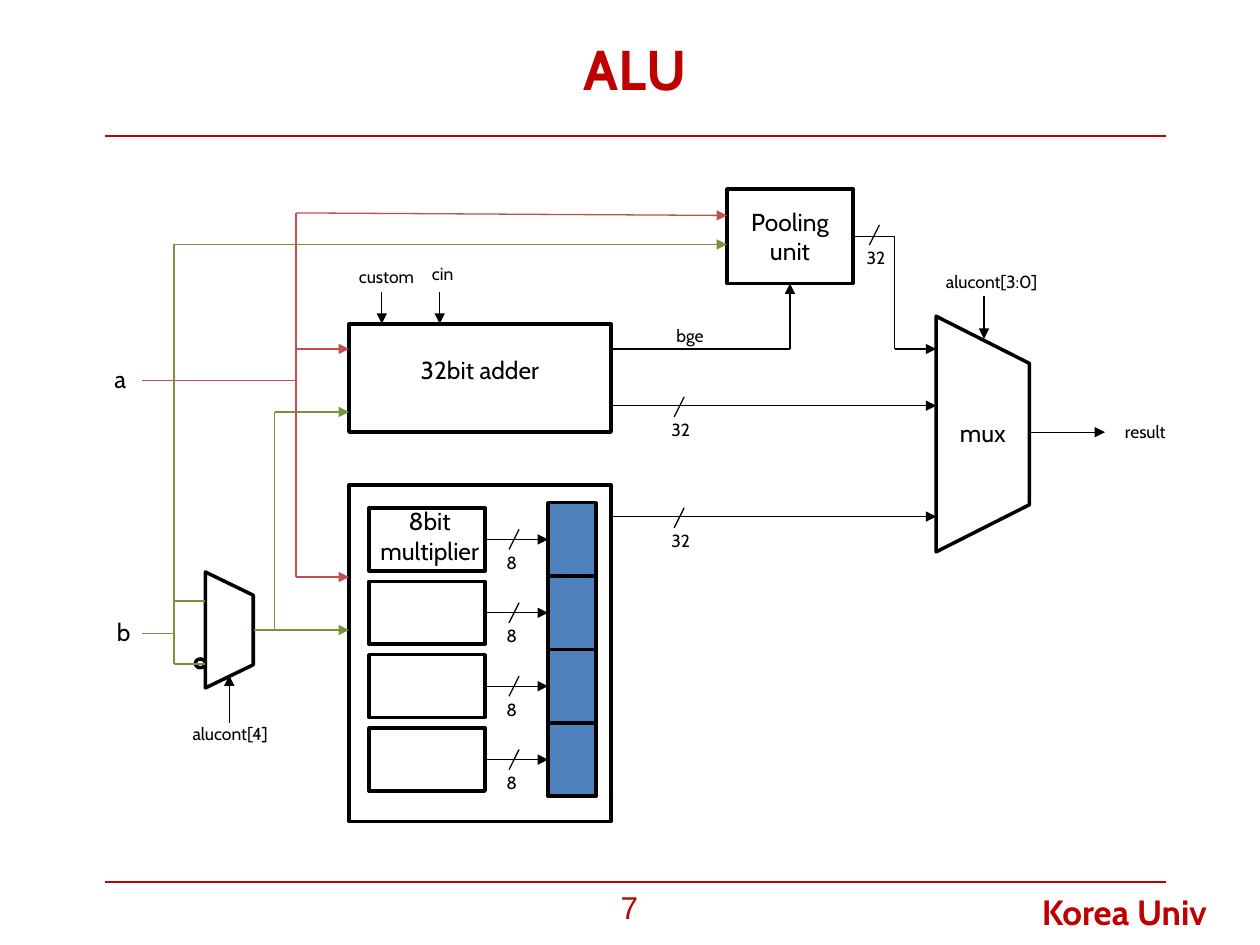
import pptx
import pptx.util
from lxml import etree
from pptx.dml.color import RGBColor
from pptx.enum.shapes import MSO_CONNECTOR, MSO_SHAPE
from pptx.enum.text import MSO_ANCHOR, MSO_AUTO_SIZE, PP_ALIGN
from pptx.oxml.ns import qn
from pptx.util import Inches

COLORS = {
    "brand": "C00000",
    "ink": "000000",
    "paper": "FFFFFF",
    "register": "4F81BD",
    "operand_a": "C0504D",
    "operand_b": "77933C",
}
FONT = "Cabin"
TOP, LEFT, BOTTOM, RIGHT = range(4)


def rgb(name):
    return RGBColor.from_string(COLORS[name])


def write(shape, text, size, color="ink", align=PP_ALIGN.LEFT, bold=False, font=FONT):
    """Fill the text frame, one paragraph for each line of text."""
    frame = shape.text_frame
    frame.word_wrap = True
    frame.text = text
    for para in frame.paragraphs:
        para.alignment = align
        para.font.name = font
        para.font.size = pptx.util.Pt(size)
        para.font.bold = bold
        para.font.color.rgb = rgb(color)
    return frame


def label(page, left, top, width, height, text, size=10, **style):
    box = page.shapes.add_textbox(Inches(left), Inches(top), Inches(width), Inches(height))
    return write(box, text, size, **style)


def block(page, left, top, width, height, fill="paper", kind=MSO_SHAPE.RECTANGLE):
    shape = page.shapes.add_shape(
        kind, Inches(left), Inches(top), Inches(width), Inches(height))
    shape.shadow.inherit = False
    shape.fill.solid()
    shape.fill.fore_color.rgb = rgb(fill)
    shape.line.color.rgb = rgb("ink")
    shape.line.width = pptx.util.Pt(2)
    return shape


def wire(parent, left, top, points, color="ink", arrow=True, width=0.75,
         start=None, end=None):
    """Join points, given from (left, top); start and end are (shape, side) pairs."""
    spots = [(Inches(left + x), Inches(top + y)) for x, y in points]
    legs = []
    for begin, finish in zip(spots, spots[1:]):
        leg = parent.shapes.add_connector(MSO_CONNECTOR.STRAIGHT, *begin, *finish)
        leg.line.color.rgb = rgb(color)
        leg.line.width = pptx.util.Pt(width)
        etree.SubElement(leg._element.spPr, qn("a:effectLst"))
        legs.append(leg)
    if start:
        legs[0].begin_connect(*start)
    if end:
        legs[-1].end_connect(*end)
    if arrow:
        line = legs[-1].line._get_or_add_ln()
        etree.SubElement(line, qn("a:tailEnd"), type="triangle")


def bit_width(page, x, y, bits):
    """Slash through a wire at (x, y) with the number of bits below it."""
    wire(page, x, y, [(0.04, -0.08), (-0.04, 0.08)], arrow=False)
    label(page, x - 0.16, y + 0.05, 0.58, 0.25, bits)


def mux_block(page, left, top, width, height):
    """Trapezoid with its wide side on the left; the box is as seen after turning."""
    shape = block(page, left + (width - height) / 2, top + (height - width) / 2,
                  height, width, kind=MSO_SHAPE.FLOWCHART_MANUAL_OPERATION)
    shape.rotation = 270


def slide_frame(page, left, top, width, height):
    title = page.shapes.title
    title.left, title.top = Inches(left), Inches(top)
    title.width, title.height = Inches(width), Inches(0.92)
    frame = write(title, "ALU", 32, "brand", PP_ALIGN.CENTER, bold=True)
    frame.vertical_anchor = MSO_ANCHOR.MIDDLE
    frame.auto_size = MSO_AUTO_SIZE.NONE
    for y in (1, height):
        wire(page, left, top, [(0, y), (width, y)], "brand", arrow=False, width=1.5)
    label(page, left + 3.29, top + height, 1.75, 0.5, "7", 18,
          color="brand", align=PP_ALIGN.CENTER, font="Arial")
    name = label(page, left + 7.34, top + height + 0.02, 1.74, 0.44, "Korea Univ", 20,
                 color="brand", bold=True)
    name.word_wrap = False


def multiplier_bank(page, left, top, width, height):
    block(page, left, top, width, height)
    rows, pitch = 4, 2.33 / 4
    for row in range(rows):
        y = top + 0.14 + row * pitch
        multiplier = block(page, left + 0.16, y + (pitch - 0.5) / 2, 0.92, 0.5)
        register = block(page, left + 1.58, y, 0.38, pitch, "register")
        middle = pitch / 2
        wire(page, left, y, [(1.08, middle), (1.58, middle)],
             start=(multiplier, RIGHT), end=(register, LEFT))
        bit_width(page, left + 1.31, y + middle, "8")
    label(page, left + 0.08, top + 0.12, 1.12, 0.5, "8bit\nmultiplier", 14,
          align=PP_ALIGN.CENTER)
    wire(page, left, top, [(width, 0.25), (4.66, 0.25)])
    bit_width(page, left + 2.62, top + 0.26, "32")


def adder(page, left, top, width, height, pooling):
    block(page, left, top, width, height)
    label(page, left + 0.47, top + 0.2, 1.25, 0.25, "32bit adder", 14)
    for text, x, text_x, text_y in (("custom", 0.26, -0.02, -0.51),
                                    ("cin", 0.72, 0.56, -0.53)):
        wire(page, left, top, [(x, -0.25), (x, 0)])
        label(page, left + text_x, top + text_y, 0.68, 0.24, text)
    wire(page, left, top, [(width, 0.2), (3.5, 0.2), (3.5, -0.32)],
         end=(pooling, BOTTOM))
    label(page, left + 2.5, top - 0.04, 0.68, 0.24, "bge")
    wire(page, left, top, [(width, 0.65), (4.66, 0.65)])
    bit_width(page, left + 2.62, top + 0.66, "32")


def pooling_unit(page, left, top, width, height):
    shape = block(page, left, top, width, height)
    frame = write(shape, "Pooling unit", 14, align=PP_ALIGN.CENTER)
    frame.vertical_anchor = MSO_ANCHOR.MIDDLE
    middle = height / 2
    wire(page, left, top, [(width, middle), (1.33, middle), (1.33, 1.27), (1.66, 1.27)],
         start=(shape, RIGHT))
    bit_width(page, left + 1.17, top + middle - 0.01, "32")
    return shape


def result_mux(page, left, top, width, height):
    mux_block(page, left, top, width, height)
    label(page, left + 0.09, top + 0.76, 0.74, 0.47, "mux", 14)
    wire(page, left, top, [(0.38, -0.16), (0.38, 0.18)])
    label(page, left - 0.02, top - 0.41, 1, 0.5, "alucont[3:0]")
    wire(page, left, top, [(width, 0.92), (1.34, 0.92)])
    label(page, left + 1.4, top + 0.78, 0.68, 0.24, "result")


def invert_mux(page, left, top, width, height):
    mux_block(page, left, top, width, height)
    block(page, left - 0.08, top + 0.69, 0.08, 0.07, kind=MSO_SHAPE.OVAL)
    wire(page, left, top, [(0.19, 1.2), (0.19, 0.82)])
    label(page, left - 0.2, top + 1.15, 1, 0.5, "alucont[4]")


def operand_a(page, left, top):
    label(page, left, top, 0.25, 0.45, "a", 14)
    bus = page.shapes.add_group_shape()
    for points, arrow in (
        ([(0.32, 0.18), (1.54, 0.18)], False),
        ([(1.54, -1.15), (1.54, 1.74), (1.96, 1.74)], True),
        ([(1.54, -0.07), (1.96, -0.07)], True),
        ([(1.54, -1.15), (4.96, -1.13)], True),
    ):
        wire(bus, left, top, points, "operand_a", arrow)


def operand_b(page, left, top):
    label(page, left, top, 0.25, 0.45, "b", 14)
    bus = page.shapes.add_group_shape()
    for points, arrow in (
        ([(0.3, 0.18), (0.55, 0.18)], False),
        ([(0.8, 0.42), (0.55, 0.42), (0.55, -2.91), (4.94, -2.91)], True),
        ([(0.55, -0.08), (0.8, -0.08)], False),
        ([(1.19, 0.15), (1.94, 0.15)], True),
        ([(1.35, 0.15), (1.35, -1.58), (1.94, -1.58)], True),
    ):
        wire(bus, left, top, points, "operand_b", arrow)


def main():
    deck = pptx.Presentation()
    deck.slide_width, deck.slide_height = Inches(10), Inches(7.5)
    page = deck.slides.add_slide(deck.slide_layouts[5])
    slide_frame(page, 0.83, 0.08, 8.42, 6.92)
    multiplier_bank(page, 2.77, 3.85, 2.08, 2.67)
    pooling = pooling_unit(page, 5.77, 1.5, 1, 0.75)
    adder(page, 2.77, 2.57, 2.08, 0.86, pooling)
    result_mux(page, 7.43, 2.51, 0.74, 1.87)
    invert_mux(page, 1.63, 4.54, 0.38, 0.92)
    operand_a(page, 0.81, 2.84)
    operand_b(page, 0.83, 4.85)
    deck.save("out.pptx")


if __name__ == "__main__":
    main()
